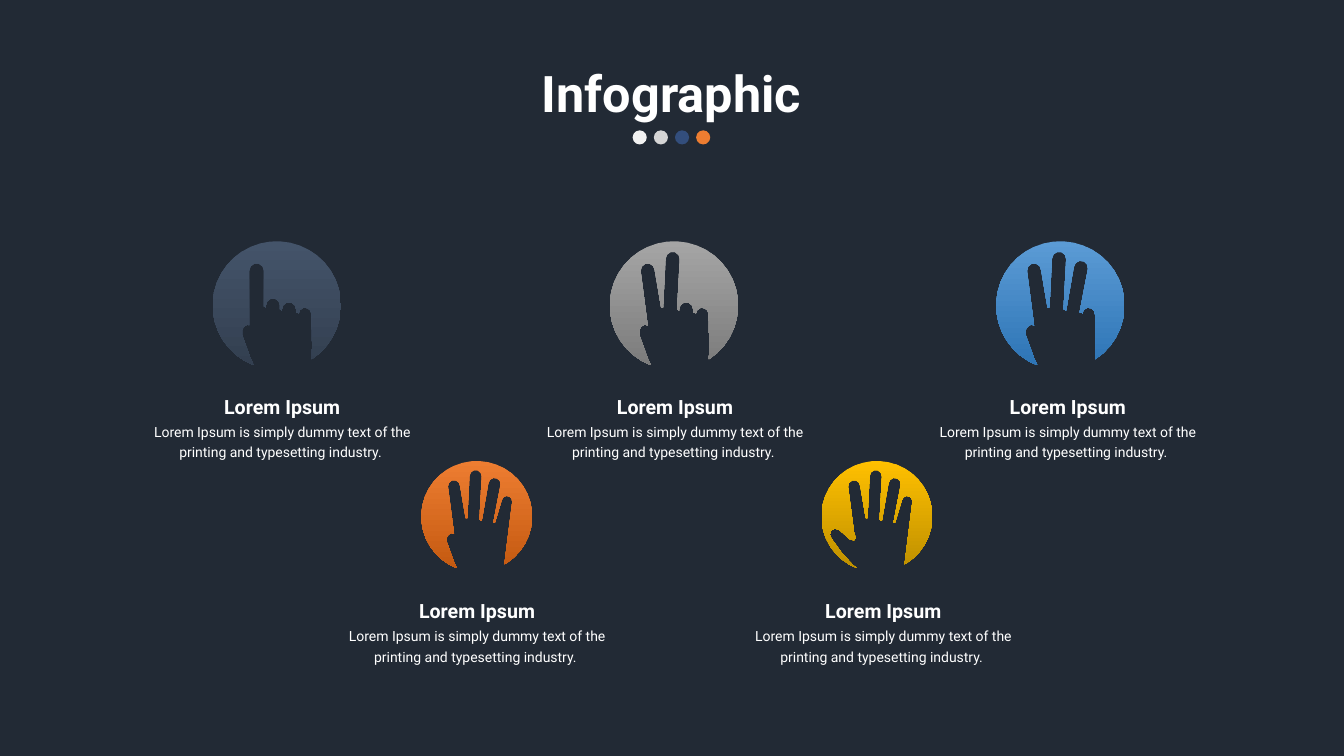
from math import cos, sin, radians
from lxml import etree
from pptx import Presentation
from pptx.dml.color import RGBColor
from pptx.enum.shapes import MSO_SHAPE
from pptx.enum.text import MSO_ANCHOR, PP_ALIGN
from pptx.oxml.ns import qn
from pptx.util import Inches, Pt

OVAL, RECT = MSO_SHAPE.OVAL, MSO_SHAPE.RECTANGLE
TOP, MIDDLE = MSO_ANCHOR.TOP, MSO_ANCHOR.MIDDLE
CENTER = PP_ALIGN.CENTER
WIDE, HIGH = Inches(13.333), Inches(7.5)
CELL = WIDE / 40  # grid of 40 columns by 22.5 rows
FONT = "Roboto"
HEAD = "Lorem Ipsum"
BODY = "Lorem Ipsum is simply dummy text of the printing and typesetting industry. "

COLORS = {
    "back": "222A35", "white": "FFFFFF",
    "pale": "F2F2F2", "silver": "D9D9D9", "royal": "4472C4", "orange": "ED7D31",
    "rust": "C55A11", "slate": "44546A", "ink": "333F50",
    "gray": "A5A5A5", "ash": "7C7C7C", "sky": "5B9BD5", "blue": "2E75B6",
    "gold": "FFC000", "bronze": "BF9000",
}
DOTS = [("pale", 100), ("silver", 98), ("royal", 50), ("orange", 100)]

# Hand parts in percent of the disc radius, from the disc centre.
# A finger is: right base, right of tip, left of tip, left base.
OPEN = {
    "pinky": [(50, 86), (64, -26), (45, -29), (33, 11)],
    "ring": [(30, 11), (43, -57), (21, -60), (9, 8)],
    "middle": [(5, 6), (9, -72), (-13, -73), (-17, 3)],
    "index": [(-20, 3), (-30, -55), (-52, -54), (-41, 31)],
}
FOLDED = {
    "pinky": [(55, 63), (54, 14), (34, 13), (34, 11)],
    "ring": [(30, 11), (30, 6), (8, 6), (8, 8)],
    "middle": [(5, 6), (5, 0), (-17, 0), (-17, 3)],
}
UPRIGHT = [(-20, 2), (-20, -54), (-43, -54), (-43, 31)]
TUCKED = [(-46, 30), (-51, 33), (-54, 38), (-54, 46), (-41, 82)]
SPREAD = [(-38, 38), (-41, 43), (-48, 42), (-58, 33), (-67, 25), (-75, 22),
          (-82, 24), (-85, 33), (-82, 40), (-64, 65), (-44, 87)]

# Count, disc centre, disc radius, text centre, text top, gradient
ITEMS = [
    (1, (8.24, 9.09), 1.91, 8.4, 11.46, ("slate", "ink")),
    (2, (20.06, 9.09), 1.91, 20.09, 11.46, ("gray", "ash")),
    (3, (31.56, 9.09), 1.91, 31.78, 11.46, ("sky", "blue")),
    (4, (14.19, 15.37), 1.65, 14.2, 17.54, ("orange", "rust")),
    (5, (26.1, 15.37), 1.65, 26.29, 17.54, ("gold", "bronze")),
]


def cells(*nums):
    return [round(num * CELL) for num in nums]


def tint(name):
    return RGBColor.from_string(COLORS[name])


def text(slide, words, box, size=10, bold=False, space=1.2, anchor=TOP):
    frame = slide.shapes.add_textbox(*cells(*box)).text_frame
    frame.word_wrap = True
    frame.vertical_anchor = anchor
    para = frame.paragraphs[0]
    para.text = words
    para.alignment = CENTER
    para.line_spacing = space
    font = para.font
    font.name, font.size, font.bold = FONT, Pt(size), bold
    font.color.rgb = tint("white")


def solid(slide, kind, box, color, alpha=100):
    shape = slide.shapes.add_shape(kind, *cells(*box))
    shape.shadow.inherit = False
    shape.line.fill.background()
    shape.fill.solid()
    shape.fill.fore_color.rgb = tint(color)
    if alpha < 100:
        tone = shape.fill._xPr.find(".//" + qn("a:srgbClr"))
        etree.SubElement(tone, qn("a:alpha")).set("val", str(alpha * 1000))


def finger(base, right, left, end):
    """Outline of a finger with a half-round tip."""
    mid_x, mid_y = (right[0] + left[0]) / 2, (right[1] + left[1]) / 2
    half_x, half_y = right[0] - mid_x, right[1] - mid_y
    tip = []
    for deg in range(0, 181, 36):
        c, s = cos(radians(deg)), sin(radians(deg))
        tip.append((mid_x + half_x * c + half_y * s, mid_y + half_y * c - half_x * s))
    return [base, *tip, end]


def hand(count):
    """Outline of a hand that shows count fingers, from right to left."""
    points = []
    for name, need in (("pinky", 4), ("ring", 3), ("middle", 2)):
        part = OPEN if count >= need else FOLDED
        points += finger(*part[name])
    points += finger(*(UPRIGHT if count == 1 else OPEN["index"]))
    return points + (SPREAD if count == 5 else TUCKED)


def disc(slide, count, mid, radius, shades):
    arc = [(100 * cos(radians(deg)), 100 * sin(radians(deg))) for deg in range(111, 421, 9)]
    ring = [cells(mid[0] + x * radius / 100, mid[1] + y * radius / 100)
            for x, y in arc + hand(count)]
    path = slide.shapes.build_freeform(*ring[0])
    path.add_line_segments(ring[1:], close=True)
    shape = path.convert_to_shape()
    shape.shadow.inherit = False
    shape.line.fill.background()
    shape.fill.gradient()
    shape.fill.gradient_angle = 270
    for stop, shade in zip(shape.fill.gradient_stops, shades):
        stop.color.rgb = tint(shade)


def label(slide, mid, top):
    text(slide, HEAD, (mid - 3.4, top, 6.8, 1.08), size=14, bold=True)
    text(slide, BODY, (mid - 4.2, top + 0.9, 8.4, 1.47))


def main():
    deck = Presentation()
    deck.slide_width, deck.slide_height = WIDE, HIGH
    slide = deck.slides.add_slide(deck.slide_layouts[6])
    solid(slide, RECT, (0, 0, 40, 22.5), "back")

    # Title with its row of dots
    text(slide, "Infographic", (1.94, 1.9, 36.09, 1.92),
         size=36, bold=True, space=0.9, anchor=MIDDLE)
    for i, (color, alpha) in enumerate(DOTS):
        solid(slide, OVAL, (18.83 + 0.63 * i, 3.88, 0.42, 0.42), color, alpha)

    # Counting hands with their labels
    for count, mid, radius, column, row, shades in ITEMS:
        disc(slide, count, mid, radius, shades)
        label(slide, column, row)

    deck.save("out.pptx")


if __name__ == "__main__":
    main()
